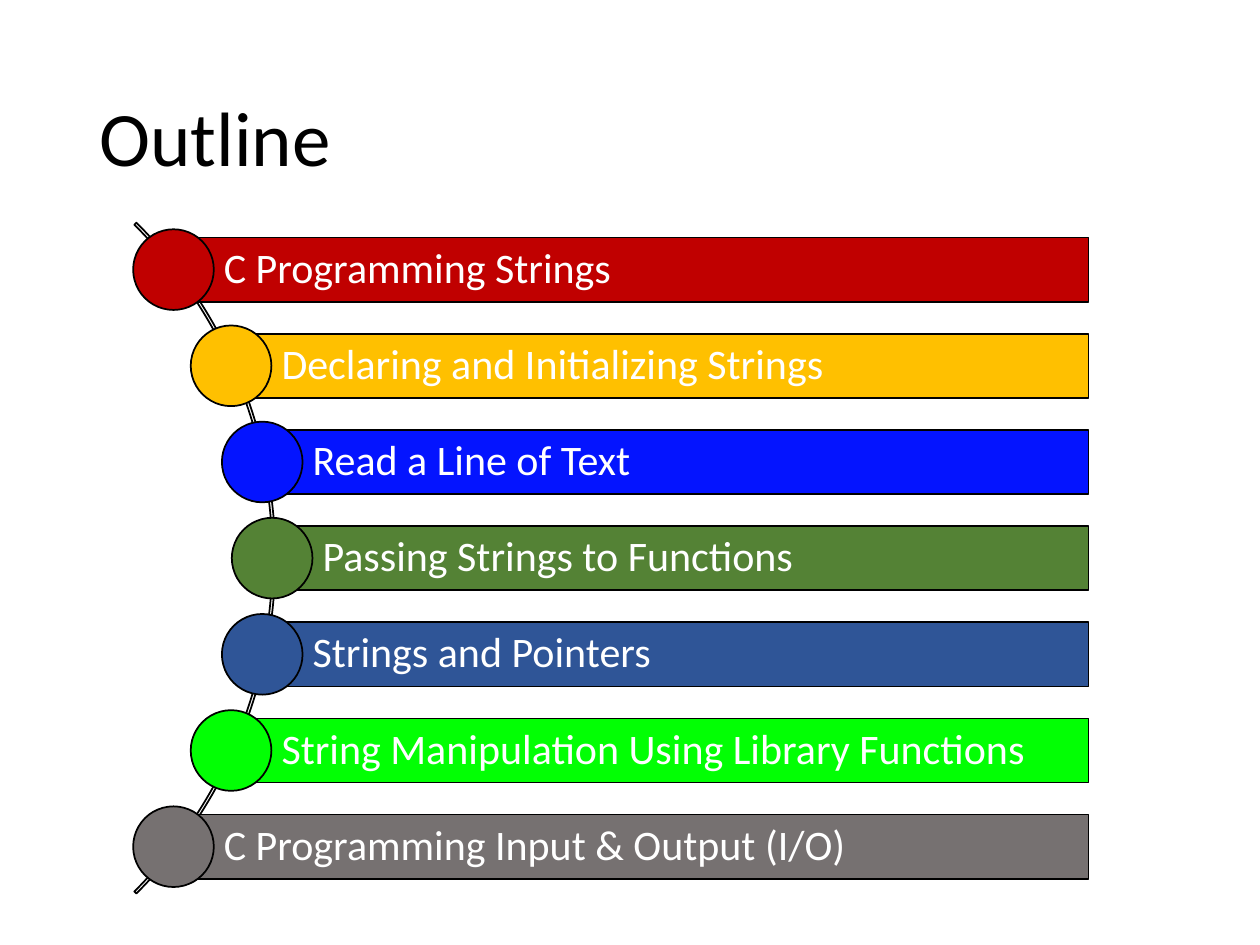
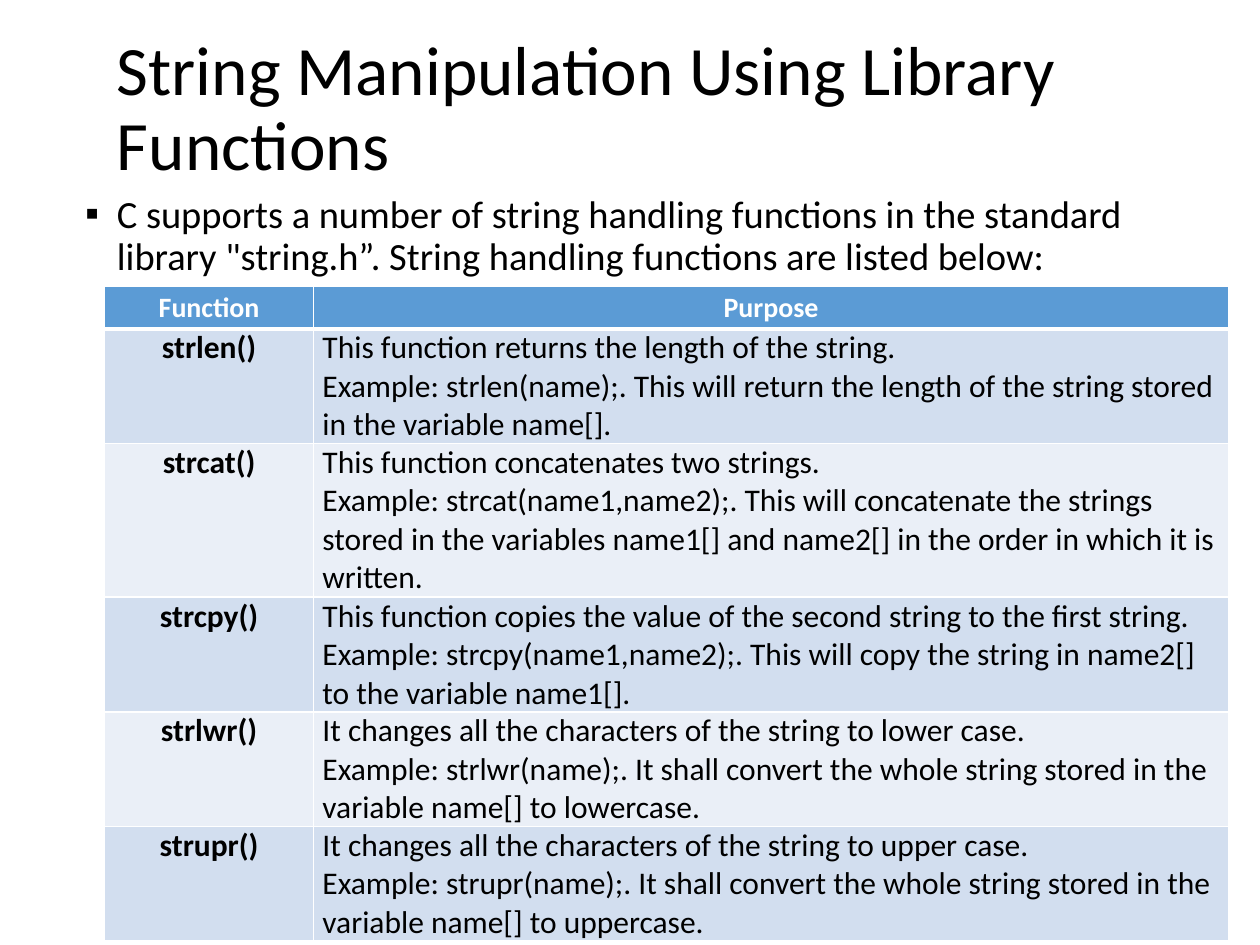
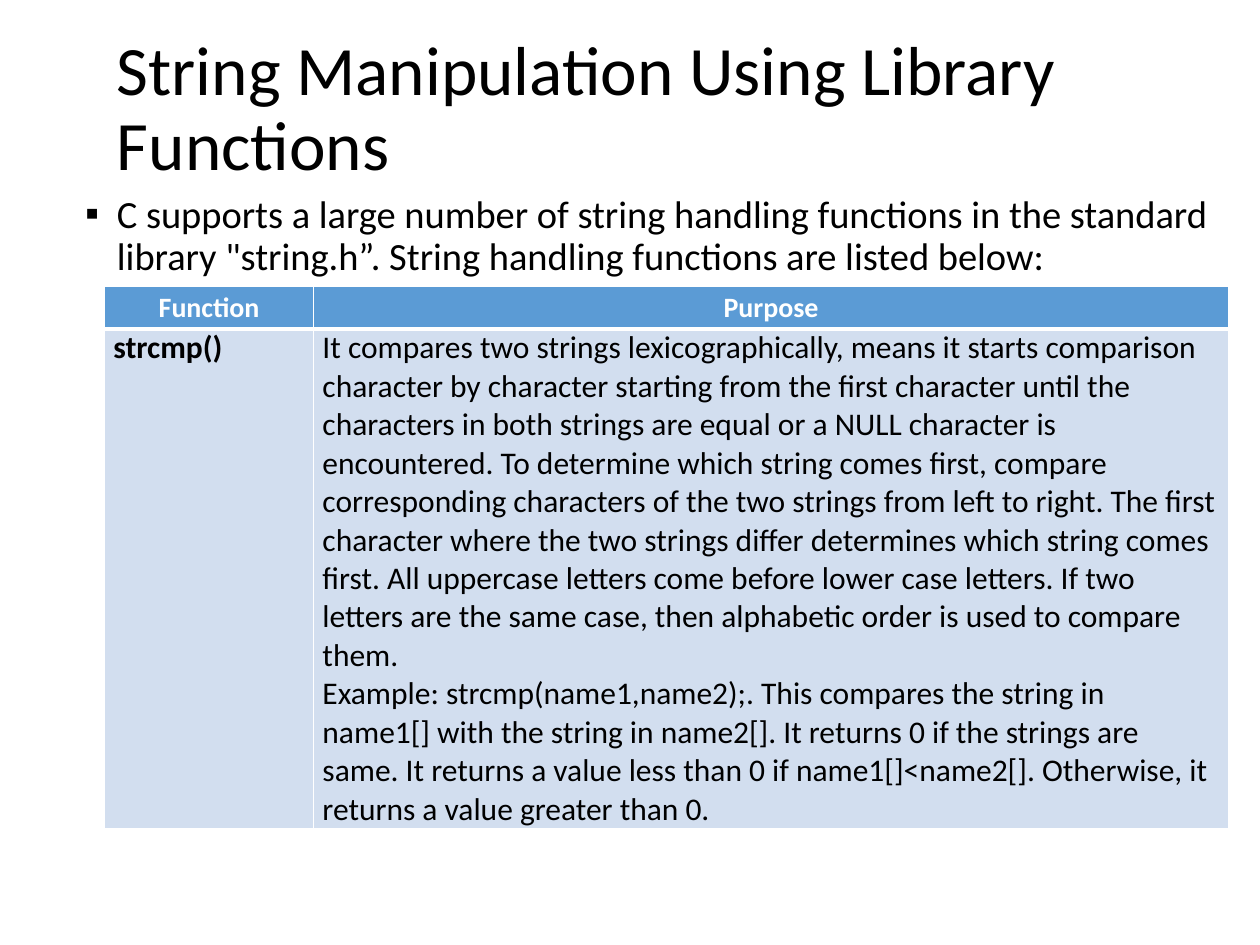
from math import sqrt

from lxml import etree
from pptx import Presentation
from pptx.dml.color import RGBColor
from pptx.enum.shapes import MSO_SHAPE
from pptx.enum.text import MSO_ANCHOR, PP_ALIGN
from pptx.oxml.ns import qn
from pptx.util import Inches, Pt

RECT = MSO_SHAPE.RECTANGLE
OVAL = MSO_SHAPE.OVAL
ARC = MSO_SHAPE.BLOCK_ARC
MIDDLE = MSO_ANCHOR.MIDDLE
TOP = MSO_ANCHOR.TOP
LEFT = PP_ALIGN.LEFT
CENTER = PP_ALIGN.CENTER
JUSTIFY = PP_ALIGN.JUSTIFY

FONT = "Calibri"
BLACK = "000000"
WHITE = "FFFFFF"
HEAD = "5B9BD5"
BANDS = ["D2DEEF", "EAEFF7"]

TOPICS = [
    ("C Programming Strings", "C00000"),
    ("Declaring and Initializing Strings", "FFC000"),
    ("Read a Line of Text", "0414FF"),
    ("Passing Strings to Functions", "548235"),
    ("Strings and Pointers", "2F5597"),
    ("String Manipulation Using Library Functions", "02FF04"),
    ("C Programming Input & Output (I/O)", "767171"),
]

LIBRARY = "String Manipulation Using Library Functions"
INTRO = (
    "C supports a {}number of string handling functions in the standard "
    'library "string.h”. String handling functions are listed below:'
)

BASIC = [
    ("strlen()",
     "This function returns the length of the string.\n"
     "Example: strlen(name);. This will return the length of the string "
     "stored in the variable name[]."),
    ("strcat()",
     "This function concatenates two strings.\n"
     "Example: strcat(name1,name2);. This will concatenate the strings stored "
     "in the variables name1[] and name2[] in the order in which it is written."),
    ("strcpy()",
     "This function copies the value of the second string to the first string.\n"
     "Example: strcpy(name1,name2);. This will copy the string in name2[] "
     "to the variable name1[]."),
    ("strlwr()",
     "It changes all the characters of the string to lower case.\n"
     "Example: strlwr(name);. It shall convert the whole string stored in "
     "the variable name[] to lowercase."),
    ("strupr()",
     "It changes all the characters of the string to upper case.\n"
     "Example: strupr(name);. It shall convert the whole string stored in "
     "the variable name[] to uppercase."),
]

COMPARE = [
    ("strcmp()",
     "It compares two strings lexicographically, means it starts comparison "
     "character by character starting from the first character until the "
     "characters in both strings are equal or a NULL character is encountered. "
     "To determine which string comes first, compare corresponding characters "
     "of the two strings from left to right. The first character where the two "
     "strings differ determines which string comes first. All uppercase letters "
     "come before lower case letters. If two letters are the same case, then "
     "alphabetic order is used to compare them.\n"
     "Example: strcmp(name1,name2);. This compares the string in name1[] with "
     "the string in name2[]. It returns 0 if the strings are same. It returns "
     "a value less than 0 if name1[]<name2[]. Otherwise, it returns a value "
     "greater than 0."),
]


def paint(code):
    """Turn a hex string into a colour."""
    return RGBColor.from_string(code)


class Deck:
    """Hold the shared style and the current slide."""

    def __init__(self):
        """Start a 4:3 deck."""
        self.file = Presentation()
        self.file.slide_width = Inches(10)
        self.file.slide_height = Inches(7.5)
        self.slide = None

    def page(self):
        """Add a blank slide and make it current."""
        self.slide = self.file.slides.add_slide(self.file.slide_layouts[6])

    def say(self, frame, text, size, color=BLACK, bold=False, align=LEFT, space=None):
        """Fill a text frame and format its runs."""
        frame.text = text
        frame.word_wrap = True
        for para in frame.paragraphs:
            para.alignment = align
            para.line_spacing = space
            for run in para.runs:
                run.font.name = FONT
                run.font.size = Pt(size)
                run.font.bold = bold
                run.font.color.rgb = paint(color)

    def text(self, at, text, size, anchor=TOP):
        """Add a text box and return its frame."""
        frame = self.slide.shapes.add_textbox(*map(Inches, at)).text_frame
        self.say(frame, text, size, space=0.9)
        frame.vertical_anchor = anchor
        return frame

    def title(self, text, at=(0.83, 0.25, 8.5, 1.25), size=39.6):
        """Add the slide title."""
        self.text(at, text, size, MIDDLE)

    def bullet(self, text):
        """Add the square-bulleted lead text."""
        para = self.text((0.58, 1.5, 9.17, 5.85), text, 22).paragraphs[0]
        para.space_before = Pt(10)
        props = para._p.get_or_add_pPr()
        props.set("marL", str(Inches(0.25)))
        props.set("indent", str(Inches(-0.25)))
        etree.SubElement(props, qn("a:buFont")).set("typeface", FONT)
        etree.SubElement(props, qn("a:buChar")).set("char", "▪")

    def shape(self, kind, at, fill=None):
        """Add a black-outlined shape."""
        shape = self.slide.shapes.add_shape(kind, *map(Inches, at))
        shape.shadow.inherit = False
        if fill:
            shape.fill.solid()
            shape.fill.fore_color.rgb = paint(fill)
        else:
            shape.fill.background()
        shape.line.color.rgb = paint(BLACK)
        shape.line.width = Pt(1)
        return shape

    def bar(self, at, text, fill):
        """Add a coloured bar with its label."""
        frame = self.shape(RECT, at, fill).text_frame
        self.say(frame, text, 24, WHITE, space=0.9)
        frame.vertical_anchor = MIDDLE
        frame.margin_left = Inches(0.4)
        frame.margin_right = frame.margin_top = frame.margin_bottom = Inches(0.07)

    def edge(self, cell, side, width):
        """Draw one white cell border."""
        line = etree.SubElement(cell._tc.get_or_add_tcPr(), qn("a:ln" + side))
        line.set("w", str(Pt(width)))
        fill = etree.SubElement(line, qn("a:solidFill"))
        etree.SubElement(fill, qn("a:srgbClr")).set("val", WHITE)

    def cell(self, cell, row, fill):
        """Set the borders, margins and fill of a cell."""
        cell.margin_left = cell.margin_right = Inches(0.07)
        cell.margin_top = cell.margin_bottom = 0
        cell.vertical_anchor = TOP if row else MIDDLE
        for side in "LRTB":
            thick = (row, side) in ((0, "B"), (1, "T"))
            self.edge(cell, side, 3 if thick else 1)
        cell.fill.solid()
        cell.fill.fore_color.rgb = paint(fill)

    def table(self, rows, highs, align):
        """Add the function table under its header."""
        sizes = [0.34, *highs]
        at = (0.83, 2.27, 8.92, sum(sizes))
        grid = self.slide.shapes.add_table(len(sizes), 2, *map(Inches, at)).table
        for col, width in zip(grid.columns, (1.66, 7.26)):
            col.width = Inches(width)
        for i, pair in enumerate([("Function", "Purpose"), *rows]):
            grid.rows[i].height = Inches(sizes[i])
            for j, text in enumerate(pair):
                cell = grid.cell(i, j)
                self.cell(cell, i, BANDS[(i - 1) % 2] if i else HEAD)
                if i:
                    self.say(cell.text_frame, text, 18, bold=j == 0,
                             align=LEFT if j else align)
                else:
                    self.say(cell.text_frame, text, 16, WHITE, True, CENTER)


def outline(deck):
    """Build the outline with topics along an arc."""
    deck.page()
    deck.title("Outline", (0.69, 0.4, 8.62, 1.45), 44)
    wide, hub, mid, reach = 7.53, -1.58, 4.43, 3.74
    arc = deck.shape(ARC, (hub - wide / 2, mid - wide / 2, wide, wide))
    for i, value in enumerate((189, 27, 0.003)):
        arc.adjustments[i] = value
    step, high, dot, right = 4.58 / 6, 0.51, 0.64, 8.64
    for i, (text, color) in enumerate(TOPICS):
        drop = (i - len(TOPICS) // 2) * step
        x, y = hub + sqrt(reach ** 2 - drop ** 2), mid + drop
        deck.bar((x, y - high / 2, right - x, high), text, color)
        deck.shape(OVAL, (x - dot / 2, y - dot / 2, dot, dot), color)


def library(deck, amount, rows, highs, align):
    """Build a slide that lists string functions."""
    deck.page()
    deck.title(LIBRARY)
    deck.bullet(INTRO.format(amount))
    deck.table(rows, highs, align)


def main():
    """Build and save the deck."""
    deck = Deck()
    outline(deck)
    library(deck, "", BASIC, [0.91, 1.22, 0.91, 0.91, 0.91], CENTER)
    library(deck, "large ", COMPARE, [3.97], JUSTIFY)
    deck.file.save("out.pptx")


if __name__ == "__main__":
    main()
